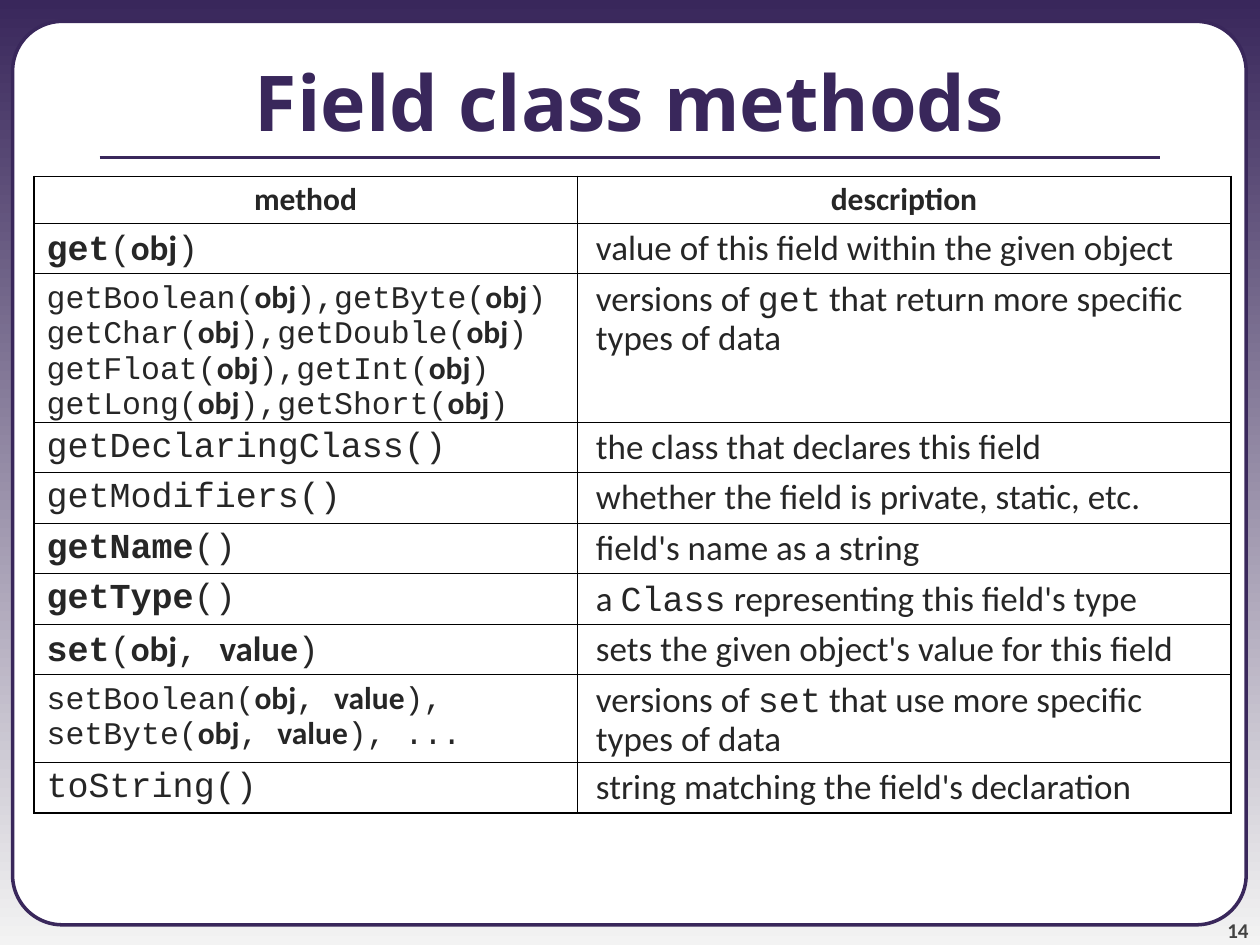
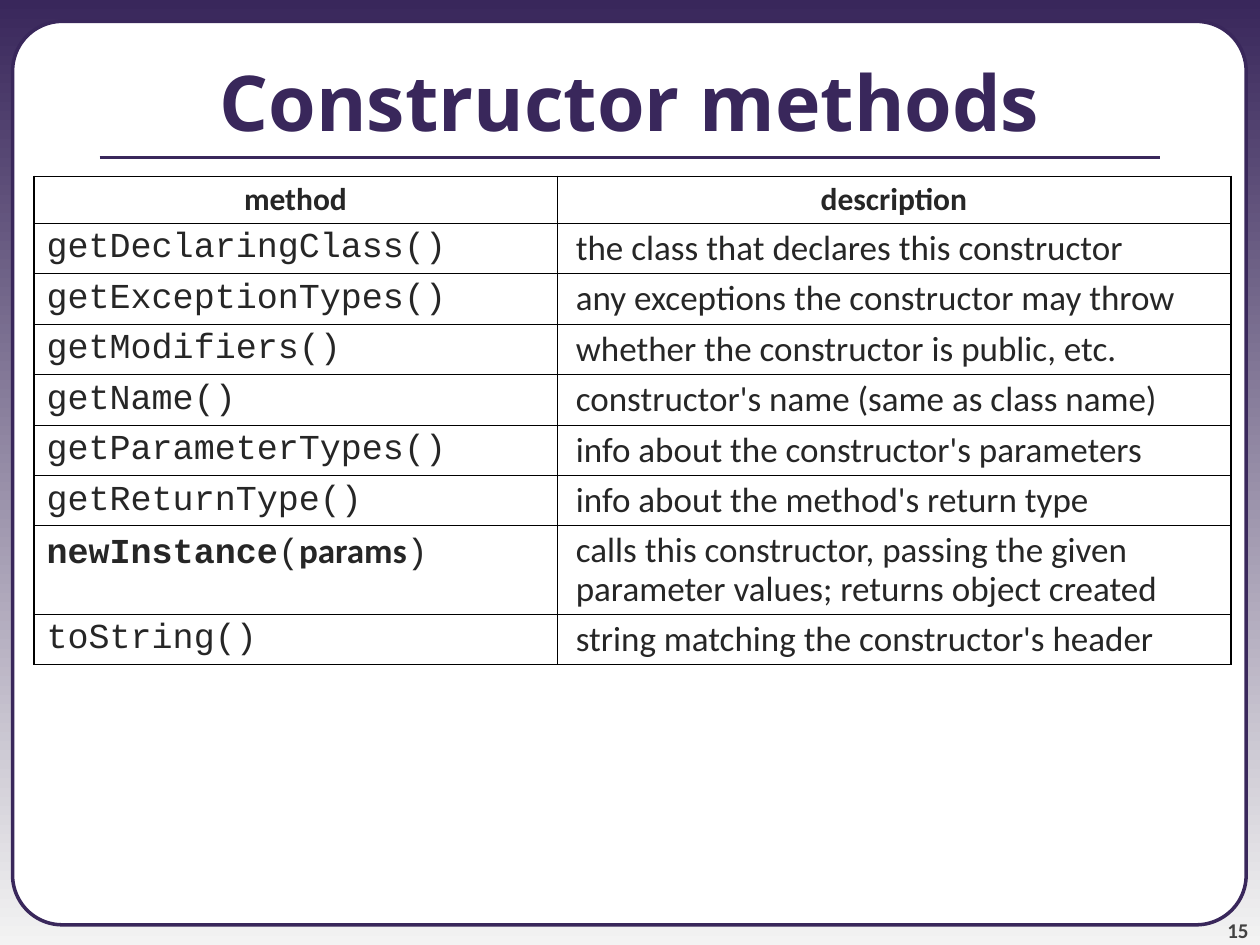
import pptx
import pptx.util
import pptx.dml.color
import pptx.enum.shapes
import pptx.enum.text
import pptx.oxml.ns
import lxml.etree

Inches, Pt = pptx.util.Inches, pptx.util.Pt
RGBColor = pptx.dml.color.RGBColor
ALIGN, ANCHOR = pptx.enum.text.PP_ALIGN, pptx.enum.text.MSO_ANCHOR
qn = pptx.oxml.ns.qn

PURPLE = RGBColor(0x39, 0x27, 0x5B)
PALE = RGBColor(0xF3, 0xF3, 0xF3)
WHITE = RGBColor(0xFF, 0xFF, 0xFF)
INK = RGBColor(0x26, 0x26, 0x26)
GRAY = RGBColor(0x42, 0x42, 0x42)
BLACK = RGBColor(0, 0, 0)

SANS, MONO, DISPLAY = "Calibri", "Courier New", "Open Sans"
MARKS = {"*": (MONO, True), "~": (SANS, True), "`": (MONO, False)}
OUTER, INNER = 1.08, 0.45
HEADER_HEIGHT, ROW_HEIGHT, TWO_LINES, FOUR_LINES = 0.37, 0.4, 0.7, 1.18

FIELD_ROWS = [
    ("*get*(~obj~)", "value of this field within the given object", 20, ROW_HEIGHT),
    ("getBoolean(~obj~),getByte(~obj~) getChar(~obj~),getDouble(~obj~)\n"
     "getFloat(~obj~),getInt(~obj~)\ngetLong(~obj~),getShort(~obj~)",
     "versions of `get` that return more specific types of data", 18, FOUR_LINES),
    ("getDeclaringClass()", "the class that declares this field", 20, ROW_HEIGHT),
    ("getModifiers()", "whether the field is private, static, etc.", 20, ROW_HEIGHT),
    ("*getName*()", "field's name as a string", 20, ROW_HEIGHT),
    ("*getType*()", "a `Class` representing this field's type", 20, ROW_HEIGHT),
    ("*set*(~obj~, ~value~)", "sets the given object's value for this field", 20, ROW_HEIGHT),
    ("setBoolean(~obj~, ~value~),\nsetByte(~obj~, ~value~), ...",
     "versions of `set` that use more specific types of data", 18, TWO_LINES),
    ("toString()", "string matching the field's declaration", 20, ROW_HEIGHT),
]

CONSTRUCTOR_ROWS = [
    ("getDeclaringClass()", "the class that declares this constructor", 20, ROW_HEIGHT),
    ("getExceptionTypes()", "any exceptions the constructor may throw", 20, ROW_HEIGHT),
    ("getModifiers()", "whether the constructor is public, etc.", 20, ROW_HEIGHT),
    ("getName()", "constructor's name (same as class name)", 20, ROW_HEIGHT),
    ("getParameterTypes()", "info about the constructor's parameters", 20, ROW_HEIGHT),
    ("getReturnType()", "info about the method's return type", 20, ROW_HEIGHT),
    ("*newInstance*(~params~)",
     "calls this constructor, passing the given parameter values; returns object created",
     20, TWO_LINES),
    ("toString()", "string matching the constructor's header", 20, ROW_HEIGHT),
]


def split_marks(text, base):
    """Return (text, style) pieces, where each mark switches its style on or off."""
    pieces, style, piece = [], base, ""
    for char in text:
        if char in MARKS or char == "\n":
            pieces.append((piece, style))
            piece = ""
            if char == "\n":
                pieces.append((char, style))
            else:
                style = base if style == MARKS[char] else MARKS[char]
        else:
            piece += char
    pieces.append((piece, style))
    return [(piece, style) for piece, style in pieces if piece]


def write(tf, text, font=SANS, size=20, color=INK, bold=False, align=ALIGN.LEFT,
          spacing=1.0, indent=0):
    """Write marked text as the only paragraph of a text frame."""
    tf.word_wrap = True
    p = tf.paragraphs[0]
    p.alignment, p.line_spacing = align, spacing
    if indent:
        p._p.get_or_add_pPr().set("marL", str(Inches(indent)))
    for piece, (name, heavy) in split_marks(text, (font, bold)):
        if piece == "\n":
            p.add_line_break()
            continue
        r = p.add_run()
        r.text = piece
        r.font.name, r.font.size, r.font.bold = name, Pt(size), heavy
        r.font.color.rgb = color


def add_text(s, text, left, top, width, height, anchor, margins=(0.1, 0.05), **style):
    """Add a text box with formatted text."""
    tf = s.shapes.add_textbox(Inches(left), Inches(top), Inches(width), Inches(height)).text_frame
    tf.margin_left = tf.margin_right = Inches(margins[0])
    tf.margin_top = tf.margin_bottom = Inches(margins[1])
    tf.vertical_anchor = anchor
    write(tf, text, **style)


def add_frame(s, number):
    """Draw the gradient, white panel, slide number and title rule."""
    fill = s.background.fill
    fill.gradient()
    fill.gradient_angle = 270
    for stop, color in zip(fill.gradient_stops, (PURPLE, PALE)):
        stop.color.rgb = color
    panel = s.shapes.add_shape(pptx.enum.shapes.MSO_SHAPE.ROUNDED_RECTANGLE,
                               Inches(0.1), Inches(0.17), Inches(9.79), Inches(7.17))
    panel.adjustments[0] = 0.055
    panel.shadow.inherit = False
    panel.fill.solid()
    panel.fill.fore_color.rgb = WHITE
    panel.line.color.rgb, panel.line.width = PURPLE, Pt(2)
    add_text(s, str(number), 9.08, 7.08, 0.83, 0.4, ANCHOR.BOTTOM, margins=(0, 0),
             size=12, color=GRAY, bold=True, align=ALIGN.RIGHT)
    rule = s.shapes.add_connector(pptx.enum.shapes.MSO_CONNECTOR.STRAIGHT,
                                  Inches(0.79), Inches(1.25), Inches(9.21), Inches(1.25))
    rule.line.color.rgb, rule.line.width = PURPLE, Pt(2.25)
    lxml.etree.SubElement(rule._element.spPr, qn("a:effectLst"))


def set_borders(cell, **widths):
    """Draw black cell borders; each key is the side's XML letter."""
    tcPr = cell._tc.get_or_add_tcPr()
    for side, width in widths.items():
        ln = lxml.etree.SubElement(tcPr, qn("a:ln" + side), w=str(Pt(width)))
        fill = lxml.etree.SubElement(ln, qn("a:solidFill"))
        lxml.etree.SubElement(fill, qn("a:srgbClr"), val=str(BLACK))


def add_method_table(s, rows, left, top, widths):
    """Add a table of methods and their descriptions."""
    heights = [HEADER_HEIGHT] + [row[-1] for row in rows]
    table = s.shapes.add_table(len(heights), 2, Inches(left), Inches(top),
                               Inches(sum(widths)), Inches(sum(heights))).table
    table.first_row = table.horz_banding = False
    for column, width in zip(table.columns, widths):
        column.width = Inches(width)
    for row, height in zip(table.rows, heights):
        row.height = Inches(height)
    for col, heading in enumerate(("method", "description")):
        write(table.cell(0, col).text_frame, heading, size=18, bold=True,
              align=ALIGN.CENTER, spacing=0.9)
    for i, (method, description, size, _) in enumerate(rows, 1):
        write(table.cell(i, 0).text_frame, method, font=MONO, size=size, spacing=0.9)
        write(table.cell(i, 1).text_frame, description, spacing=0.9, indent=0.05)
    for i in range(len(heights)):
        for col in range(2):
            cell = table.cell(i, col)
            set_borders(cell, L=INNER if col else OUTER, R=OUTER if col else INNER,
                        T=INNER if i else OUTER, B=OUTER if i == len(rows) else INNER)
            cell.fill.background()


def add_method_slide(prs, number, title, rows, widths):
    """Add a titled slide holding one method table."""
    s = prs.slides.add_slide(prs.slide_layouts[6])
    add_frame(s, number)
    add_text(s, title, 0, 0.17, 10, 1.25, ANCHOR.MIDDLE, font=DISPLAY, size=44,
             color=PURPLE, bold=True, align=ALIGN.CENTER)
    add_method_table(s, rows, 0.27, 1.4, widths)


def main():
    """Build and save the presentation."""
    prs = pptx.Presentation()
    prs.slide_width, prs.slide_height = Inches(10), Inches(7.5)
    add_method_slide(prs, 14, "Field class methods", FIELD_ROWS, (4.31, 5.19))
    add_method_slide(prs, 15, "Constructor methods", CONSTRUCTOR_ROWS, (4.15, 5.35))
    prs.save("out.pptx")


if __name__ == "__main__":
    main()
